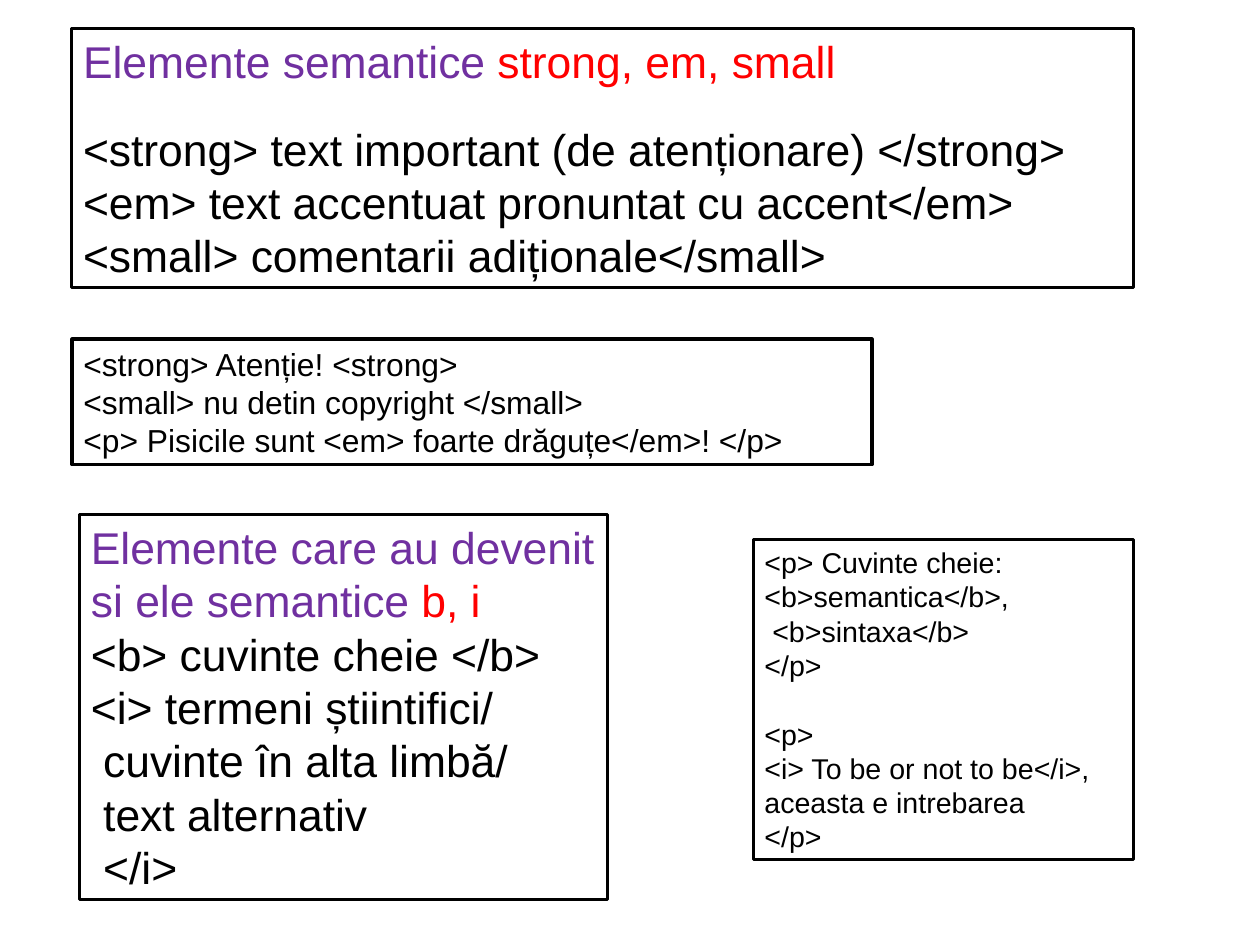
from dataclasses import dataclass

from pptx import Presentation
from pptx.dml.color import RGBColor
from pptx.enum.text import MSO_AUTO_SIZE as AutoSize
from pptx.slide import Slide
from pptx.util import Pt

FONT = "Arial"
BLACK, PURPLE, RED = "000000", "7030A0", "FF0000"
LINE_HEIGHT = 1.2
BORDER = 2


@dataclass
class Span:
    text: str
    color: str = BLACK


@dataclass
class Line:
    spans: list[Span]
    gap: float = 0


@dataclass
class Box:
    left: float
    top: float
    width: float
    height: float
    size: float
    lines: list[Line]
    wrap: bool = True


def rgb(value: str) -> RGBColor:
    return RGBColor.from_string(value)


def plain(*texts: str) -> list[Line]:
    return [Line([Span(text)]) for text in texts]


def draw_box(s: Slide, box: Box) -> None:
    """Draw a bordered text box; a newline in a span becomes a line break."""
    sp = s.shapes.add_textbox(Pt(box.left), Pt(box.top), Pt(box.width), Pt(box.height))
    sp.line.color.rgb = rgb(BLACK)
    sp.line.width = Pt(BORDER)
    tf = sp.text_frame
    tf.word_wrap = box.wrap
    tf.auto_size = AutoSize.SHAPE_TO_FIT_TEXT
    for i, line in enumerate(box.lines):
        p = tf.add_paragraph() if i else tf.paragraphs[0]
        spacing = {"line_spacing": Pt(box.size * LINE_HEIGHT), "space_before": Pt(line.gap)}
        for name, value in spacing.items():
            setattr(p, name, value)
        for span in line.spans:
            for j, piece in enumerate(span.text.split("\n")):
                if j:
                    p.add_line_break()
                r = p.add_run()
                r.text = piece
                for name, value in {"name": FONT, "size": Pt(box.size)}.items():
                    setattr(r.font, name, value)
                r.font.color.rgb = rgb(span.color)


EXAMPLE = Box(45.4, 213.6, 504, 79.2, 20, plain(
    "<strong> Atenție! <strong>",
    "<small> nu detin copyright </small>",
    "<p> Pisicile sunt <em> foarte drăguțe</em>! </p>",
))

STRONG_EM_SMALL = Box(45.2, 18, 668.9, 163.4, 28, [
    Line([Span("Elemente semantice ", PURPLE), Span("strong, em, small", RED)]),
    Line([Span("<strong> text important (de atenționare) </strong>")], gap=21.6),
    *plain(
        "<em> text accentuat pronuntat cu accent</em>",
        "<small> comentarii adiționale</small>",
    ),
])

BOLD_ITALIC = Box(50.2, 324, 332.5, 242.6, 28, [
    Line([Span("Elemente care au devenit", PURPLE)]),
    Line([Span("si ele semantice ", PURPLE), Span("b, i", RED)]),
    *plain(
        "<b> cuvinte cheie </b>",
        "<i> termeni știintifici/",
        " cuvinte în alta limbă/",
        " text alternativ",
        " </i>",
    ),
], wrap=False)

KEYWORDS = Box(474.5, 339.8, 239.8, 201.6, 18, [
    *plain("<p> Cuvinte cheie: <b>semantica</b>,\n <b>sintaxa</b>", "</p>"),
    Line([Span("<p>")], gap=21.6),
    *plain("<i> To be or not to be</i>,", "aceasta e intrebarea", "</p>"),
])


def main() -> None:
    prs = Presentation()
    prs.slide_width, prs.slide_height = Pt(793.75), Pt(595.25)
    s = prs.slides.add_slide(prs.slide_layouts[6])
    for box in (EXAMPLE, STRONG_EM_SMALL, BOLD_ITALIC, KEYWORDS):
        draw_box(s, box)
    prs.save("out.pptx")


if __name__ == "__main__":
    main()
